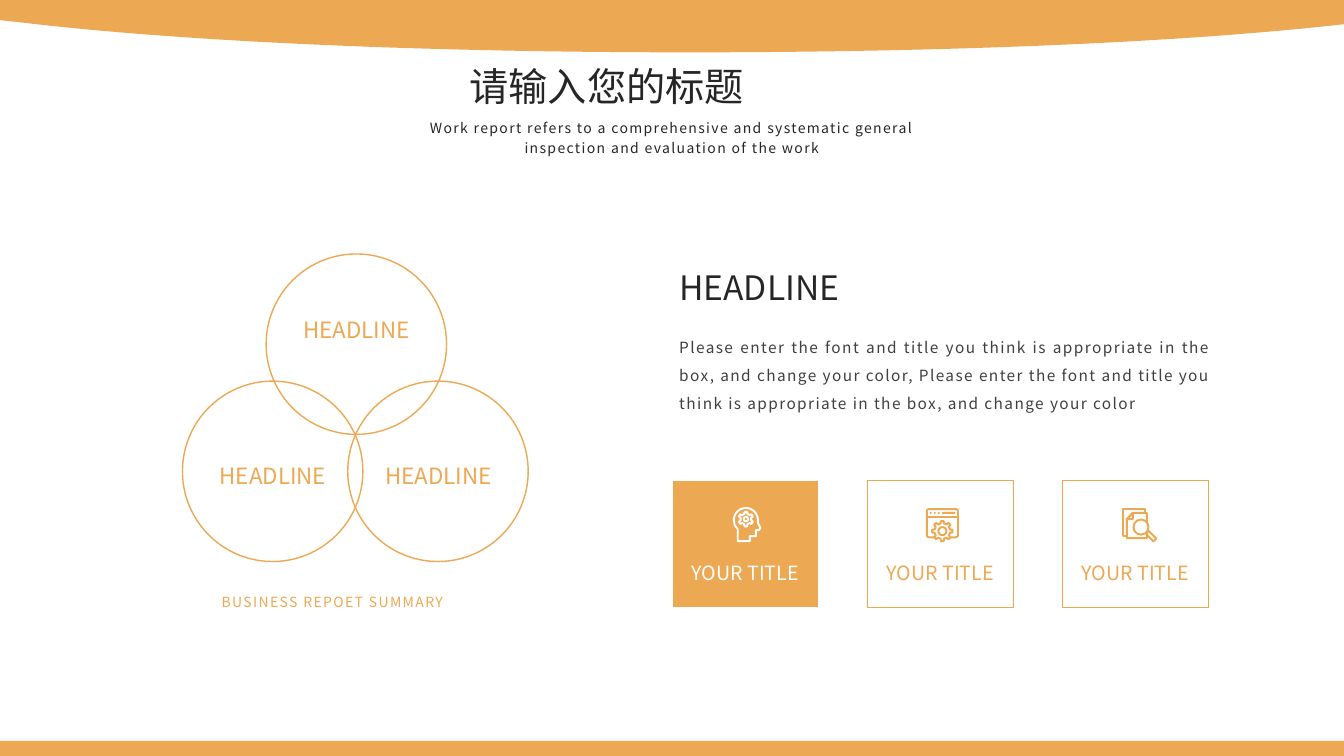
from math import cos, radians, sin

from lxml import etree
from pptx import Presentation
from pptx.dml.color import RGBColor
from pptx.enum.shapes import MSO_CONNECTOR, MSO_SHAPE
from pptx.enum.text import MSO_ANCHOR, MSO_AUTO_SIZE, PP_ALIGN
from pptx.oxml.ns import qn
from pptx.util import Pt

RECT, ROUND, OVAL = MSO_SHAPE.RECTANGLE, MSO_SHAPE.ROUNDED_RECTANGLE, MSO_SHAPE.OVAL
CENTER, JUSTIFY = PP_ALIGN.CENTER, PP_ALIGN.JUSTIFY
FONT = "Noto Sans CJK SC"
ORANGE, WHITE, DARK, GREY = "EDA853", "FFFFFF", "262626", "404040"


def paint(sp, fill=None, line=None, width=1):
    sp.shadow.inherit = False
    if fill:
        sp.fill.solid()
        sp.fill.fore_color.rgb = RGBColor.from_string(fill)
    else:
        sp.fill.background()
    if line:
        sp.line.color.rgb = RGBColor.from_string(line)
        sp.line.width = Pt(width)
    else:
        sp.line.fill.background()


def write(sp, text, box, size, color, align=CENTER, leading=None, spacing=0):
    """Place a text shape at box (points) and fill it; leading is a fixed line height."""
    sp.left, sp.top, sp.width, sp.height = map(Pt, box)
    tf = sp.text_frame
    tf.word_wrap, tf.auto_size = True, MSO_AUTO_SIZE.NONE
    tf.vertical_anchor = MSO_ANCHOR.TOP
    tf.margin_left = tf.margin_right = Pt(7.2)
    tf.margin_top = tf.margin_bottom = Pt(3.6 if leading else 0)
    p = tf.paragraphs[0]
    p.alignment = align
    p.line_spacing = Pt(leading) if leading else 1.0
    r = p.add_run()
    r.text = text
    r.font.name, r.font.size, r.font.bold = FONT, Pt(size), False
    r.font.color.rgb = RGBColor.from_string(color)
    rPr = r._r.get_or_add_rPr()
    etree.SubElement(rPr, qn("a:ea")).set("typeface", FONT)
    if spacing:
        rPr.set("spc", str(spacing * 100))


prs = Presentation()
prs.slide_width, prs.slide_height = Pt(960), Pt(540)
s = prs.slides.add_slide(prs.slide_layouts[5])
shapes = s.shapes

# Header wave: two cubic curves, sampled, and the footer band
wave = [(0, 0), (0, 14.4)]
for curve in ([(13, 15.8), (126.7, 29.5), (298.8, 37.4), (491.8, 37.4)],
              [(491.8, 37.4), (668.2, 37.4), (828, 31), (940.3, 19.4)]):
    for step in range(31):
        t = step / 30
        weights = ((1 - t) ** 3, 3 * t * (1 - t) ** 2, 3 * t * t * (1 - t), t ** 3)
        wave.append([sum(w * pt[axis] for w, pt in zip(weights, curve)) for axis in (0, 1)])
wave += [(960, 17.3), (960, 0)]
fb = shapes.build_freeform(0, 0)
fb.add_line_segments([(Pt(x), Pt(y)) for x, y in wave[1:]], close=True)
paint(fb.convert_to_shape(), ORANGE)
paint(shapes.add_shape(RECT, 0, Pt(529.2), Pt(960), Pt(12.2)), ORANGE)

# Headings and running text
write(shapes.title, "请输入您的标题", (328.3, 44.6, 303.1, 41), 28, DARK, JUSTIFY)
for text, box, size, color, align, leading, spacing in (
    ("Work report refers to a comprehensive and systematic general inspection and "
     "evaluation of the work", (269.3, 79.9, 421.2, 33.8), 10, DARK, CENTER, 14, 1),
    ("HEADLINE", (478.1, 190.8, 159.1, 36), 24, DARK, JUSTIFY, None, 0),
    ("Please enter the font and title you think is appropriate in the box, and change "
     "your color, Please enter the font and title you think is appropriate in the box, "
     "and change your color", (478.1, 231.1, 393.8, 85.7), 11, GREY, JUSTIFY, 20, 1),
    ("BUSINESS REPOET SUMMARY", (151.2, 418.3, 216.7, 20.2), 10, ORANGE, JUSTIFY, 14, 1),
):
    write(shapes.add_textbox(0, 0, 0, 0), text, box, size, color, align, leading, spacing)

# Three overlapping circles
for x, y, label_drop in ((190.1, 181.4, 44.7), (130.3, 272.2, 57.6), (248.4, 272.2, 57.6)):
    paint(shapes.add_shape(OVAL, Pt(x), Pt(y), Pt(128.9), Pt(128.9)), None, ORANGE)
    write(shapes.add_textbox(0, 0, 0, 0), "HEADLINE",
          (x + 17.5, y + label_drop, 94.3, 23), 16, ORANGE)

# Icon outlines, measured from the corner of their card
gears = []
for cx, cy, teeth, root, tip in ((52.6, 27.4, 6, 3.9, 5.3), (53.6, 36, 8, 5.6, 7.3)):
    pitch = 360 / teeth
    gears.append([(cx + radius * cos(radians(angle)), cy + radius * sin(radians(angle)))
                  for tooth in range(teeth)
                  for turn, radius in ((-0.26, root), (-0.18, tip), (0.18, tip), (0.26, root))
                  for angle in [(tooth + turn) * pitch - 90]])
head = [(46.8, 43.2), (46.8, 34.6), (44.6, 31.7)]
head += [(52.6 + 8.6 * cos(radians(a)), 28.1 + 8.6 * sin(radians(a)))
         for a in range(180, 361, 10)]
head += [(61.2, 30.2), (63, 33.8), (61.9, 35.3), (59.8, 35.3), (59.8, 39.6),
         (55.4, 39.6), (55.4, 43.2)]
page = [(46.1, 27.4), (50.4, 23), (60.5, 23), (60.5, 41), (46.1, 41)]
fold = [(50.4, 23), (50.4, 27.4), (46.1, 27.4)]

# Per card: frames (kind, x, y, w, h, rotation), outlines, rings (cx, cy, radius)
cards = (
    (ORANGE, WHITE, [], [head, gears[0]], [(52.6, 27.4, 1.6)]),
    (WHITE, ORANGE, [(ROUND, 42.5, 20.2, 22.3, 20.2, 0)], [gears[1]], [(53.6, 36, 2.9)]),
    (WHITE, ORANGE, [(RECT, 43.2, 20.2, 15.8, 19.4, 0), (ROUND, 59.6, 38.2, 7.6, 2.9, 45)],
     [page, fold], [(56.2, 33.1, 5.4)]),
)
top = 343.4
for i, (back, ink, frames, outlines, rings) in enumerate(cards):
    left = 480.2 + 139.3 * i
    paint(shapes.add_shape(RECT, Pt(left), Pt(top), Pt(104.4), Pt(90.7)),
          back if back == ORANGE else None, ink)
    for kind, x, y, w, h, rotation in frames:
        sp = shapes.add_shape(kind, Pt(left + x), Pt(top + y), Pt(w), Pt(h))
        sp.rotation = rotation
        if kind == ROUND:
            sp.adjustments[0] = 0.08
        paint(sp, back, ink, 1.4)
    for outline in outlines:
        points = [(Pt(left + x), Pt(top + y)) for x, y in outline]
        fb = shapes.build_freeform(*points[0])
        fb.add_line_segments(points[1:], close=True)
        paint(fb.convert_to_shape(), back, ink, 1.4)
    for cx, cy, radius in rings:
        paint(shapes.add_shape(OVAL, Pt(left + cx - radius), Pt(top + cy - radius),
                               Pt(2 * radius), Pt(2 * radius)), back, ink, 1.4)
    write(shapes.add_textbox(0, 0, 0, 0), "YOUR TITLE",
          (left - 11.2, 400.7, 126.7, 24.5), 14, ink)

# Title bar of the browser window on the middle card
window = 480.2 + 139.3
divider = shapes.add_connector(MSO_CONNECTOR.STRAIGHT, Pt(window + 42.5), Pt(top + 25.9),
                               Pt(window + 64.8), Pt(top + 25.9))
divider.line.color.rgb = RGBColor.from_string(ORANGE)
divider.line.width = Pt(1.4)
etree.SubElement(divider._element.spPr, qn("a:effectLst"))
for x, w in ((44.6, 1.4), (47.5, 1.4), (50.4, 1.4), (53.3, 9.7)):
    sp = shapes.add_shape(ROUND, Pt(window + x), Pt(top + 22.3), Pt(w), Pt(1.4))
    sp.adjustments[0] = 0.5
    paint(sp, ORANGE)

prs.save("out.pptx")
